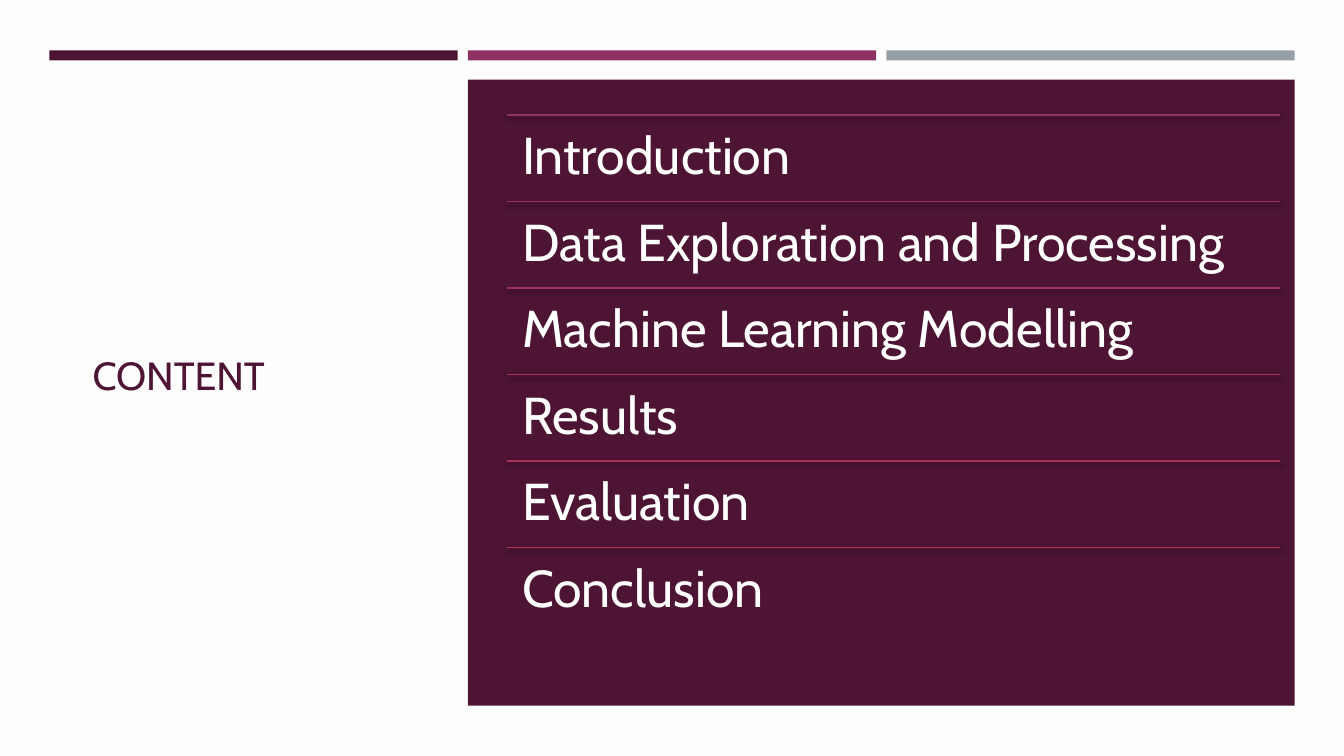
from dataclasses import dataclass

from lxml import etree
from pptx import Presentation
from pptx.dml.color import RGBColor
from pptx.enum.shapes import MSO_CONNECTOR, MSO_SHAPE
from pptx.enum.text import MSO_ANCHOR
from pptx.oxml import parse_xml
from pptx.util import Inches, Pt

RECTANGLE = MSO_SHAPE.RECTANGLE
STRAIGHT = MSO_CONNECTOR.STRAIGHT
TOP, MIDDLE = MSO_ANCHOR.TOP, MSO_ANCHOR.MIDDLE
DRAWING_NS = "http://schemas.openxmlformats.org/drawingml/2006/main"
RULE_SHADOW = (
    f'<a:effectLst xmlns:a="{DRAWING_NS}">'
    '<a:outerShdw blurRad="38100" dist="25400" dir="5400000" rotWithShape="0">'
    '<a:srgbClr val="000000"><a:alpha val="55000"/></a:srgbClr>'
    "</a:outerShdw></a:effectLst>"
)
TOPICS = {
    "Introduction": "903163",
    "Data Exploration and Processing": "973160",
    "Machine Learning Modelling": "9D325C",
    "Results": "A43257",
    "Evaluation": "AB3252",
    "Conclusion": "B2324B",
}


@dataclass(frozen=True)
class Theme:
    """Colours, font and type sizes of the deck."""

    paper: str = "FFFEFF"
    plum: str = "4D1434"
    bars: tuple = ("4D1434", "903163", "969FA7")
    light: str = "FFFFFF"
    font: str = "Cabin"
    title_size: int = 28
    topic_size: int = 37


@dataclass(frozen=True)
class Box:
    """A rectangle on the page, in inches."""

    left: float
    top: float
    width: float
    height: float

    def emu(self):
        """Return the four lengths as python-pptx expects them."""
        return [Inches(n) for n in (self.left, self.top, self.width, self.height)]

    def columns(self, count, gap):
        """Split the box into equal columns."""
        width = (self.width - gap * (count - 1)) / count
        return [Box(self.left + i * (width + gap), self.top, width, self.height)
                for i in range(count)]

    def rows(self, count):
        """Split the box into equal rows."""
        height = self.height / count
        return [Box(self.left, self.top + i * height, self.width, height)
                for i in range(count)]


THEME = Theme()
WIDTH, HEIGHT = 13.33, 7.5
HEADER = Box(0.49, 0.5, 12.35, 0.1)
COLUMN_GAP = 0.1


def add_block(page, box, color):
    """Add a plain filled rectangle."""
    block = page.shapes.add_shape(RECTANGLE, *box.emu())
    block.shadow.inherit = False
    block.fill.solid()
    block.fill.fore_color.rgb = RGBColor.from_string(color)
    block.line.fill.background()


def add_text(page, box, text, size, color, anchor, inset):
    """Add a one-paragraph text box and return its paragraph."""
    frame = page.shapes.add_textbox(*box.emu()).text_frame
    frame.word_wrap = True
    frame.vertical_anchor = anchor
    frame.margin_left = frame.margin_right = Inches(inset)
    frame.margin_top = frame.margin_bottom = Inches(inset)
    para = frame.paragraphs[0]
    para.text = text
    para.font.name = THEME.font
    para.font.size = Pt(size)
    para.font.color.rgb = RGBColor.from_string(color)
    return para


def add_rule(page, box, color):
    """Draw a softly shadowed line along the top of the box."""
    left, top, width, _ = box.emu()
    rule = page.shapes.add_connector(STRAIGHT, left, top, left + width, top)
    rule.line.color.rgb = RGBColor.from_string(color)
    rule.line.width = Pt(1)
    properties = rule.line._get_or_add_ln().getparent()
    properties.append(parse_xml(etree.tostring(etree.fromstring(RULE_SHADOW))))


def add_header(page, columns):
    """Fill each header column with its bar colour."""
    for column, color in zip(columns, THEME.bars):
        add_block(page, column, color)


def add_topics(page, panel):
    """Place the ruled list of topics on a plum panel."""
    add_block(page, panel, THEME.plum)
    listing = Box(panel.left + 0.39, panel.top + 0.35, panel.width - 0.53, 5.15)
    for row, (topic, color) in zip(listing.rows(len(TOPICS)), TOPICS.items()):
        add_rule(page, row, color)
        para = add_text(page, row, topic, THEME.topic_size, THEME.light, TOP, 0.15)
        para.line_spacing = 0.9


def add_content_page(deck):
    """Build the contents page from its title, header and topics."""
    page = deck.slides.add_slide(deck.slide_layouts[6])
    page.background.fill.solid()
    page.background.fill.fore_color.rgb = RGBColor.from_string(THEME.paper)
    columns = HEADER.columns(len(THEME.bars), COLUMN_GAP)
    first, second, last = columns
    title = Box(first.left + 0.33, 1.14, 3.34, 5.15)
    add_text(page, title, "CONTENT", THEME.title_size, THEME.plum, MIDDLE, 0.1)
    add_header(page, columns)
    panel_width = last.left + last.width - second.left
    add_topics(page, Box(second.left, 0.79, panel_width, 6.21))


def main():
    """Create and save the deck."""
    deck = Presentation()
    deck.slide_width, deck.slide_height = Inches(WIDTH), Inches(HEIGHT)
    add_content_page(deck)
    deck.save("out.pptx")


if __name__ == "__main__":
    main()
